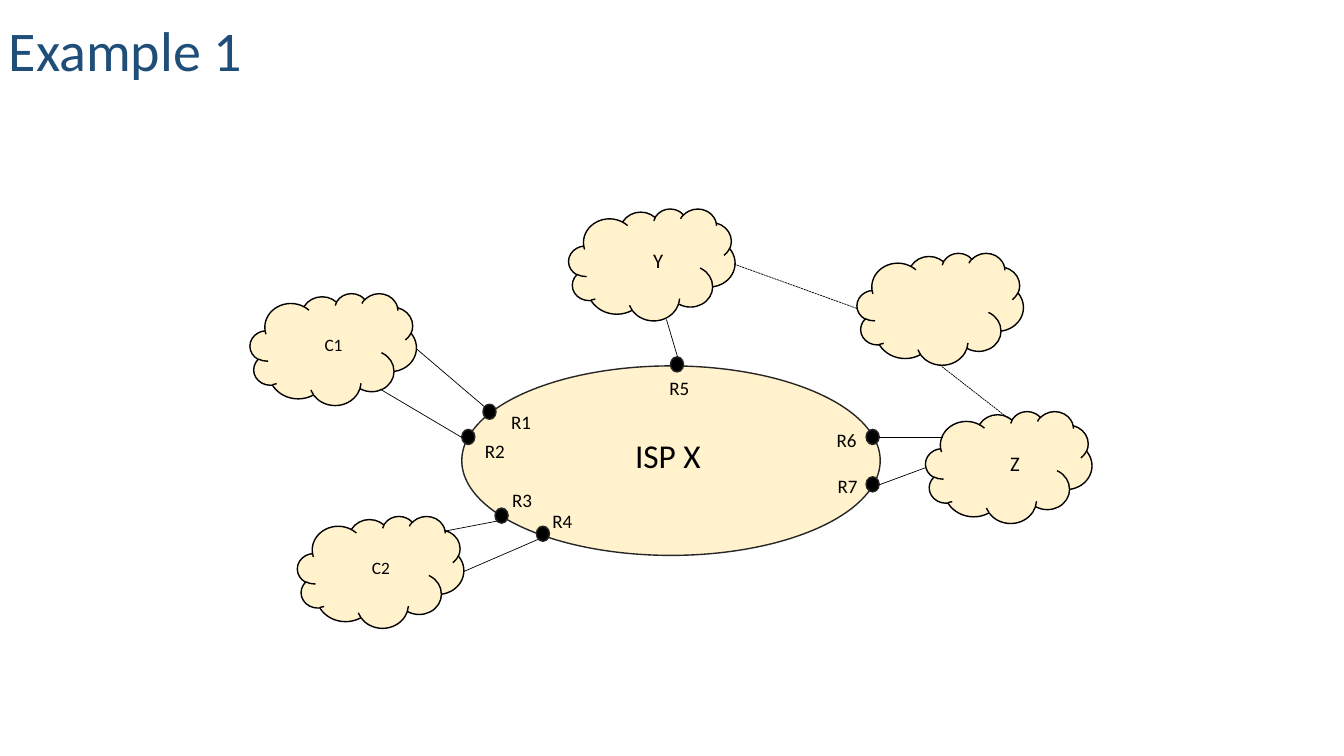
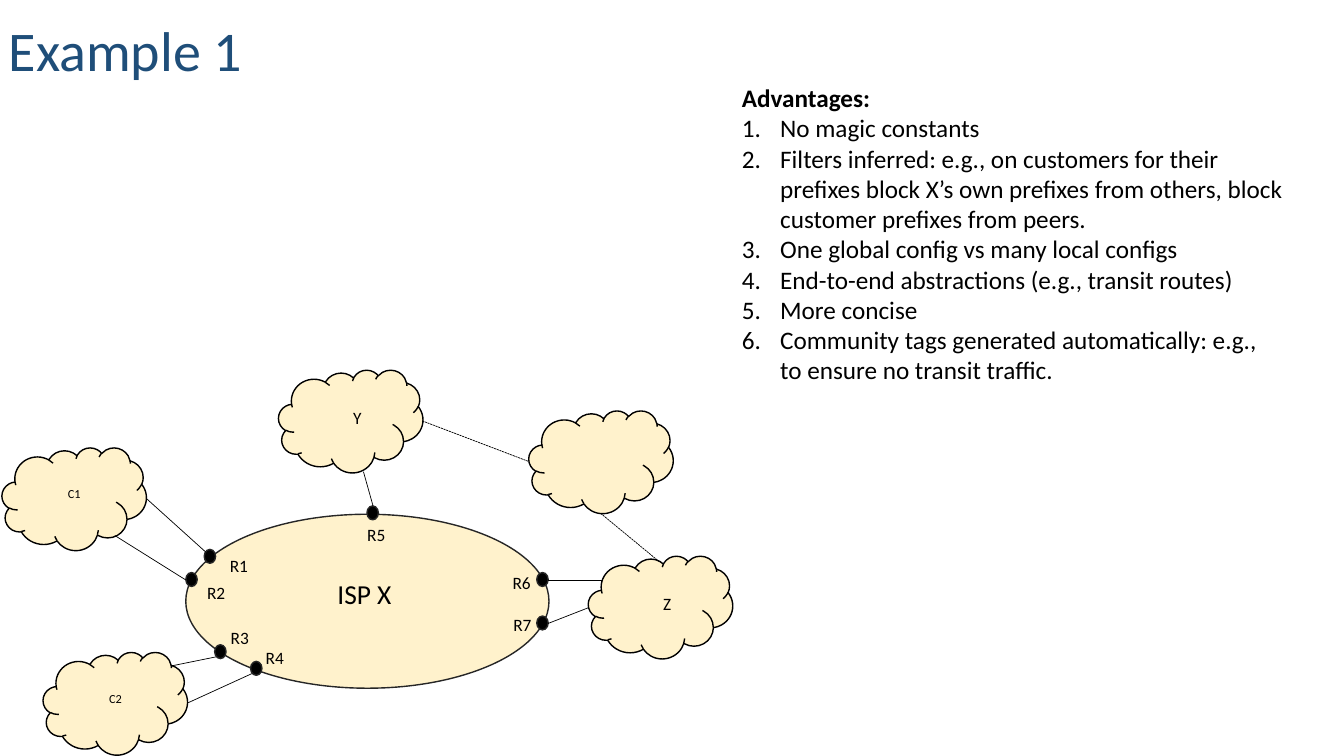
from dataclasses import dataclass

from lxml import etree
from pptx import Presentation
from pptx.dml.color import RGBColor
from pptx.enum import dml, shapes, text
from pptx.oxml import ns
from pptx.util import Inches, Pt

FONT = "Calibri"
COLORS = {"title": "1F4E79", "text": "000000", "network": "FFF2CC",
          "edge": "262626", "router": "000000", "link": "000000"}

# Network map: positions in inches at full size
ISP = (4.58, 3.63, 4.15, 1.88)
ISP_LABEL = (6.2, 4.35, 0.91, 0.43)
CLOUD_SIZE = (1.65, 1.11)
ROUTER_SIZE = (0.13, 0.15)
LABEL_SIZE = (0.45, 0.28)
CUSTOMERS = {"C1": (2.48, 2.91), "C2": (2.95, 5.12)}
PEERS = {"Y": (5.64, 2.07), "Z": (9.18, 4.08), "": (8.5, 2.51)}
# Router name: dot position, label position
ROUTERS = {
    "R1": ((4.79, 4.01), (4.97, 4.08)),
    "R2": ((4.58, 4.26), (4.71, 4.37)),
    "R3": ((4.91, 5.04), (4.98, 4.86)),
    "R4": ((5.32, 5.22), (5.38, 5.07)),
    "R5": ((6.65, 3.54), (6.54, 3.75)),
    "R6": ((8.59, 4.26), (8.2, 4.26)),
    "R7": ((8.59, 4.73), (8.21, 4.72)),
}
ROUTER_LINKS = [
    ((3.77, 3.86), (4.58, 4.34)), ((4.13, 3.46), (4.81, 4.04)),
    ((4.41, 5.27), (4.93, 5.17)), ((4.6, 5.67), (5.34, 5.35)),
    ((6.61, 3.17), (6.72, 3.54)), ((8.72, 4.34), (9.35, 4.34)),
    ((8.72, 4.81), (9.18, 4.64)),
]
REMOTE_LINKS = [((7.28, 2.62), (8.5, 3.06)), ((9.32, 3.62), (10, 4.15))]

ADVANTAGES = [
    "No magic constants",
    "Filters inferred: e.g., on customers for their prefixes block X’s own "
    "prefixes from others, block customer prefixes from peers.",
    "One global config vs many local configs",
    "End-to-end abstractions (e.g., transit routes)",
    "More concise",
    "Community tags generated automatically: e.g., to ensure no transit traffic.",
]


@dataclass
class View:
    """Placement, scale and text sizes of the network map on a slide."""
    left: float
    top: float
    x_scale: float
    y_scale: float
    isp_size: float
    customer_size: float
    peer_size: float
    router_size: float
    isp_spacing: float

    def point(self, x, y):
        return (Inches(self.left + (x - CUSTOMERS["C1"][0]) * self.x_scale),
                Inches(self.top + (y - PEERS["Y"][1]) * self.y_scale))

    def box(self, x, y, w, h):
        return (*self.point(x, y), Inches(w * self.x_scale), Inches(h * self.y_scale))


FULL = View(2.48, 2.07, 1, 1, 23.8, 12.4, 14.8, 13.6, 0.8)
COMPACT = View(0.02, 3.67, 0.868, 0.918, 19.6, 8.8, 12.4, 12.4, 0.7)


def rgb(name):
    return RGBColor.from_string(COLORS[name])


def style_text(p, size, color="text", bold=False):
    for r in p.runs:
        r.font.name = FONT
        r.font.size = Pt(size)
        r.font.bold = bold
        r.font.color.rgb = rgb(color)


def add_label(parent, box, words, size, spacing=0.7):
    tf = parent.add_textbox(*box).text_frame
    tf.word_wrap = True
    tf.margin_right = 0
    p = tf.paragraphs[0]
    p.text = words
    p.line_spacing = spacing
    p.space_before = Pt(10)
    style_text(p, size)


def add_node(parent, kind, box, fill, line):
    sp = parent.add_shape(kind, *box)
    sp.shadow.inherit = False
    sp.fill.solid()
    sp.fill.fore_color.rgb = rgb(fill)
    sp.line.color.rgb = rgb(line)
    sp.line.width = Pt(1)


def add_link(parent, start, end, dashed=False):
    cx = parent.add_connector(shapes.MSO_CONNECTOR.STRAIGHT, *start, *end)
    cx.line.color.rgb = rgb("link")
    cx.line.width = Pt(0.5)
    if dashed:
        cx.line.dash_style = dml.MSO_LINE.SQUARE_DOT
    etree.SubElement(cx._element.spPr, ns.qn("a:effectLst"))


def add_title(s, words):
    tf = s.shapes.add_textbox(Inches(-0.01), Inches(-0.05),
                              Inches(6.57), Inches(0.93)).text_frame
    tf.word_wrap = True
    tf.vertical_anchor = text.MSO_ANCHOR.BOTTOM
    p = tf.paragraphs[0]
    p.text = words
    p.line_spacing = 0.9
    style_text(p, 40, "title")


def add_numbered_list(s, heading, items):
    tf = s.shapes.add_textbox(Inches(7.26), Inches(0.77),
                              Inches(5.56), Inches(3.13)).text_frame
    tf.word_wrap = True
    tf.auto_size = text.MSO_AUTO_SIZE.SHAPE_TO_FIT_TEXT
    tf.text = heading
    style_text(tf.paragraphs[0], 18, bold=True)
    for item in items:
        p = tf.add_paragraph()
        p.text = item
        style_text(p, 18)
        pPr = p._p.get_or_add_pPr()
        pPr.set("marL", str(Inches(0.38)))
        pPr.set("indent", str(Inches(-0.38)))
        etree.SubElement(pPr, ns.qn("a:buFont"), typeface="+mj-lt")
        etree.SubElement(pPr, ns.qn("a:buAutoNum"), type="arabicPeriod")


def add_clouds(parent, view, clouds, size, label_left, label_width):
    for name, (x, y) in clouds.items():
        add_node(parent, shapes.MSO_SHAPE.CLOUD, view.box(x, y, *CLOUD_SIZE),
                 "network", "link")
        if name:
            box = view.box(x + label_left, y + 0.41, label_width, LABEL_SIZE[1])
            add_label(parent, box, name, size)


def add_network(s, view):
    parent = s.shapes.add_group_shape().shapes
    oval = shapes.MSO_SHAPE.OVAL

    # Provider and its border routers
    add_node(parent, oval, view.box(*ISP), "network", "edge")
    add_label(parent, view.box(*ISP_LABEL), "ISP X", view.isp_size, view.isp_spacing)
    for name, (dot, label) in ROUTERS.items():
        add_node(parent, oval, view.box(*dot, *ROUTER_SIZE), "router", "edge")
        add_label(parent, view.box(*label, *LABEL_SIZE), name, view.router_size)

    # Neighbouring networks
    add_clouds(parent, view, CUSTOMERS, view.customer_size, 0.64, 0.38)
    add_clouds(parent, view, PEERS, view.peer_size, 0.74, 0.45)

    # Links
    for links, dashed in ((ROUTER_LINKS, False), (REMOTE_LINKS, True)):
        for start, end in links:
            add_link(parent, view.point(*start), view.point(*end), dashed)


def add_example_slide(prs, view):
    s = prs.slides.add_slide(prs.slide_layouts[6])
    add_title(s, "Example 1")
    add_network(s, view)
    return s


def main():
    prs = Presentation()
    prs.slide_width = Inches(13.33)
    prs.slide_height = Inches(7.5)

    add_example_slide(prs, FULL)
    s = add_example_slide(prs, COMPACT)
    add_numbered_list(s, "Advantages:", ADVANTAGES)

    prs.save("out.pptx")


main()
